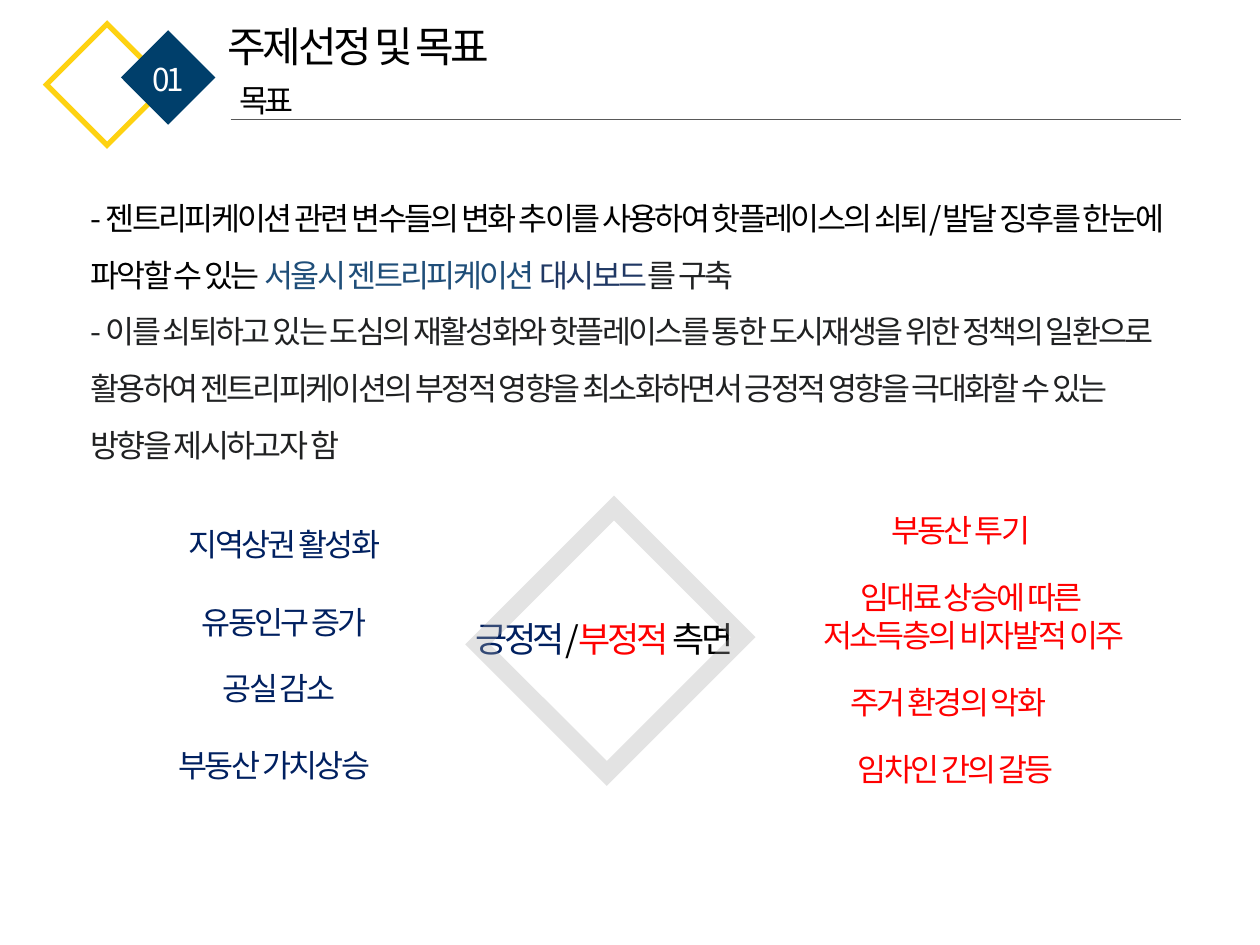
from lxml.etree import SubElement
from pptx import Presentation
from pptx.dml.color import RGBColor
from pptx.enum.shapes import MSO_CONNECTOR as Connector, MSO_SHAPE as Shape
from pptx.enum.text import MSO_ANCHOR as Anchor, MSO_AUTO_SIZE as AutoSize, PP_ALIGN as Align
from pptx.oxml.ns import qn
from pptx.util import Pt

FONT = "Noto Sans CJK KR"
WHITE = RGBColor(0xFF, 0xFF, 0xFF)
BLACK = RGBColor(0, 0, 0)
YELLOW = RGBColor(0xFE, 0xD2, 0x11)
NAVY = RGBColor(0x00, 0x3F, 0x6B)
RULE_GRAY = RGBColor(0x59, 0x59, 0x59)
FRAME_GRAY = RGBColor(0xA6, 0xA6, 0xA6)
STEEL = RGBColor(0x1F, 0x4E, 0x79)
INDIGO = RGBColor(0x20, 0x38, 0x64)
CHARCOAL = RGBColor(0x20, 0x21, 0x22)
POSITIVE = RGBColor(0x00, 0x20, 0x60)
NEGATIVE = RGBColor(0xFF, 0, 0)


def add_text(slide, box, paragraphs, size=18, color=BLACK, align=Align.LEFT,
             anchor=Anchor.TOP, tracking=-1.5, line_spacing=None):
    shape = slide.shapes.add_textbox(*map(Pt, box))
    frame = shape.text_frame
    frame.word_wrap = True
    frame.auto_size = AutoSize.SHAPE_TO_FIT_TEXT
    frame.vertical_anchor = anchor
    if isinstance(paragraphs, str):
        paragraphs = [[(line, color)] for line in paragraphs.split("\n")]
    for index, runs in enumerate(paragraphs):
        paragraph = frame.add_paragraph() if index else frame.paragraphs[0]
        paragraph.alignment = align
        paragraph.line_spacing = line_spacing
        for text, run_color in runs:
            run = paragraph.add_run()
            run.text = text
            run.font.size = Pt(size)
            run.font.name = FONT
            run.font.color.rgb = run_color
            properties = run.font._element
            properties.set("spc", str(int(tracking * 100)))
            SubElement(properties, qn("a:ea"), typeface=FONT)


def add_diamond(slide, box, fill=None, line=None, width=0, opacity=None):
    shape = slide.shapes.add_shape(Shape.RECTANGLE, *map(Pt, box))
    shape.shadow.inherit = False
    shape.rotation = 45
    if fill is None:
        shape.fill.background()
    else:
        shape.fill.solid()
        shape.fill.fore_color.rgb = fill
    if line is None:
        shape.line.fill.background()
        return
    shape.line.color.rgb = line
    shape.line.width = Pt(width)
    outline = shape.line._get_or_add_ln()
    if opacity is not None:
        color = outline.find(".//" + qn("a:srgbClr"))
        SubElement(color, qn("a:alpha"), val=str(opacity * 1000))
    SubElement(outline, qn("a:miter"), lim="800000")


def add_rule(slide, left, right, y):
    rule = slide.shapes.add_connector(Connector.STRAIGHT, Pt(left), Pt(y), Pt(right), Pt(y))
    rule.line.color.rgb = RULE_GRAY
    rule.line.width = Pt(0.5)
    SubElement(rule._element.spPr, qn("a:effectLst"))


def add_header(slide, box, number, title, subtitle):
    left, top, width, height = box
    add_diamond(slide, (left + 0.7, top + 15.8, 49, 49), line=YELLOW, width=3)
    add_diamond(slide, (left + 41, top + 17.2, 38.2, 38.2), fill=NAVY)
    add_text(slide, (left + 38.2, top + 23, 43.9, 28.8), number, color=WHITE, align=Align.CENTER)
    add_text(slide, (left + 87.1, top, 218, 36), title, size=24, tracking=-2)
    add_rule(slide, left + 95.8, left + width, top + height)
    add_text(slide, (left + 93.6, top + 34.5, 69.8, 28.8), subtitle, tracking=-2)


def add_goals(slide, box):
    add_text(slide, box, [
        [("- 젠트리피케이션 관련 변수들의 변화 추이를 사용하여 핫플레이스의 쇠퇴/발달 징후를 "
          "한눈에 파악할 수 있는 ", BLACK),
         ("서울시 젠트리피케이션 ", STEEL), ("대시보드", INDIGO), ("를 구축", CHARCOAL)],
        [("- 이를 쇠퇴하고 있는 도심의 재활성화와 핫플레이스를 통한 도시재생을 위한 정책의 일환으로 "
          "활용하여 젠트리피케이션의 부정적 영향을 최소화하면서 긍정적 영향을 극대화할 수 있는 "
          "방향을 제시하고자 함", CHARCOAL)],
    ], line_spacing=1.5)


def add_effects(slide, box, effects, color, anchor):
    left, top, _, _ = box
    for text, x, y, width, height, align in effects:
        add_text(slide, (left + x, top + y, width, height), text,
                 color=color, align=align, anchor=anchor)


def add_center(slide, box):
    left, top, width, _ = box
    add_text(slide, (left, top + 38.2, width, 31.7), [
        [("긍정적", POSITIVE), ("/", BLACK), ("부정적", NEGATIVE), (" 측면", BLACK)],
    ], size=20, tracking=-2, align=Align.CENTER)
    add_diamond(slide, (left + 46.8, top, 104.4, 110.2), line=FRAME_GRAY, width=10, opacity=31)


def main():
    presentation = Presentation()
    presentation.slide_width, presentation.slide_height = Pt(720), Pt(540)
    slide = presentation.slides.add_slide(presentation.slide_layouts[6])
    add_header(slide, (36, 8, 638.6, 60.5), "01", "주제선정 및 목표", "목표")
    add_goals(slide, (44.6, 99.4, 639.4, 170.6))
    add_effects(slide, (79.2, 296.6, 180.7, 154.8), [
        ("지역상권 활성화", 21.6, 0, 159.1, 28.8, Align.LEFT),
        ("유동인구 증가 ", 0, 44.7, 169.2, 28.8, Align.CENTER),
        ("공실 감소", 41, 82.1, 98.6, 28.8, Align.LEFT),
        ("부동산 가치상승", 15.8, 126, 138.2, 28.8, Align.LEFT),
    ], POSITIVE, Anchor.TOP)
    add_effects(slide, (443.5, 288.7, 226.8, 164.9), [
        ("부동산 투기", 25.9, 0, 159.1, 28.8, Align.CENTER),
        ("임대료 상승에 따른 \n저소득층의 비자발적 이주", 0, 37.5, 226.1, 51.1, Align.CENTER),
        ("주거 환경의 악화", 35.3, 97.9, 191.5, 28.8, Align.LEFT),
        ("임차인 간의 갈등", 39.6, 136.1, 159.1, 28.8, Align.LEFT),
    ], NEGATIVE, Anchor.MIDDLE)
    add_center(slide, (249.8, 311, 191.5, 110.2))
    presentation.save("out.pptx")


if __name__ == "__main__":
    main()
